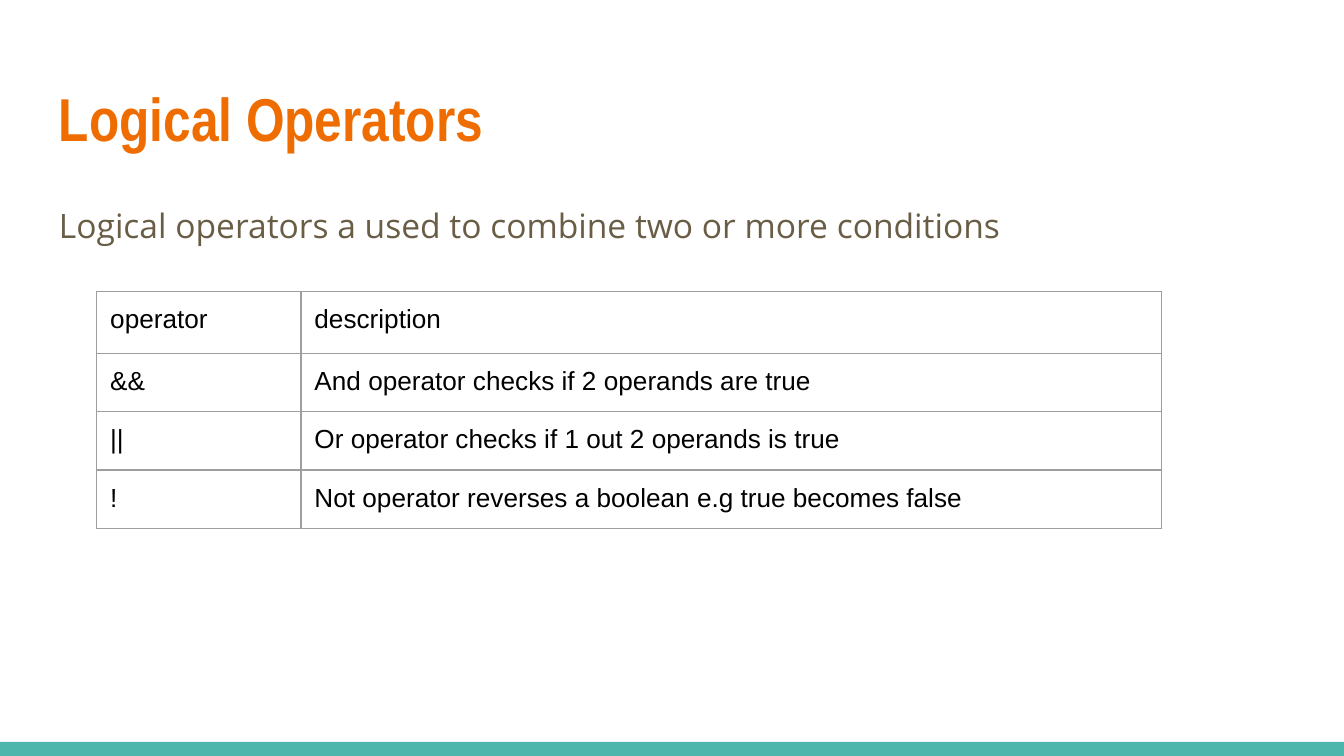
from lxml import etree
from pptx import Presentation
from pptx.dml.color import RGBColor
from pptx.enum.shapes import MSO_SHAPE
from pptx.enum.text import MSO_ANCHOR
from pptx.oxml.ns import qn
from pptx.util import Inches, Pt

RECT = MSO_SHAPE.RECTANGLE
TOP = MSO_ANCHOR.TOP
MIDDLE = MSO_ANCHOR.MIDDLE
TEAL = RGBColor(0x4D, 0xB6, 0xAC)
ORANGE = RGBColor(0xEF, 0x6C, 0x00)
BROWN = RGBColor(0x69, 0x5D, 0x46)
BLACK = RGBColor(0, 0, 0)
GREY = RGBColor(0x9E, 0x9E, 0x9E)
PAD = Inches(0.1)


def write(frame, text, font="Arial", size=14, color=BLACK, bold=False, line=1.0, after=0):
    para = frame.paragraphs[0]
    para.line_spacing = line
    para.space_after = Pt(after)
    run = para.add_run()
    run.text = text
    run.font.name = font
    run.font.size = Pt(size)
    run.font.bold = bold
    run.font.color.rgb = color


deck = Presentation()
deck.slide_width = Inches(10)
deck.slide_height = Inches(10) * 9 // 16
slide = deck.slides.add_slide(deck.slide_layouts[6])

bar = slide.shapes.add_shape(RECT, Inches(0), Inches(5.52), Inches(10), Inches(0.11))
bar.shadow.inherit = False
bar.fill.solid()
bar.fill.fore_color.rgb = TEAL
bar.line.fill.background()

texts = [
    (0.49, 0.77, MIDDLE, "Logical Operators",
     dict(font="Arial Narrow", size=32.4, color=ORANGE, bold=True)),
    (1.38, 3.61, TOP, "Logical operators a used to combine two or more conditions",
     dict(font="Open Sans", size=18, color=BROWN, line=1.15, after=12)),
]
for top, height, anchor, text, style in texts:
    box = slide.shapes.add_textbox(Inches(0.34), Inches(top), Inches(9.32), Inches(height))
    frame = box.text_frame
    frame.word_wrap = True
    frame.vertical_anchor = anchor
    frame.margin_left = frame.margin_right = PAD
    frame.margin_top = frame.margin_bottom = PAD
    write(frame, text, **style)

rows = [
    ("operator", "description"),
    ("&&", "And operator checks if 2 operands are true"),
    ("||", "Or operator checks if 1 out 2 operands is true"),
    ("!", "Not operator reverses a boolean e.g true becomes false"),
]
widths = [1.52, 6.4]
heights = [0.46, 0.42, 0.42, 0.42]
table = slide.shapes.add_table(
    len(rows), len(widths), Inches(0.72), Inches(2.17),
    Inches(sum(widths)), Inches(sum(heights))
).table
table.first_row = False
table.horz_banding = False
for col, width in zip(table.columns, widths):
    col.width = Inches(width)
for row, height, texts in zip(table.rows, heights, rows):
    row.height = Inches(height)
    for cell, text in zip(row.cells, texts):
        cell.fill.background()
        cell.margin_left = cell.margin_right = PAD
        cell.margin_top = cell.margin_bottom = PAD
        write(cell.text_frame, text)
        props = cell._tc.get_or_add_tcPr()
        for spot, side in enumerate(("a:lnL", "a:lnR", "a:lnT", "a:lnB")):
            edge = etree.Element(qn(side), w=str(Pt(0.75)))
            fill = etree.SubElement(edge, qn("a:solidFill"))
            etree.SubElement(fill, qn("a:srgbClr"), val=str(GREY))
            props.insert(spot, edge)

deck.save("out.pptx")
